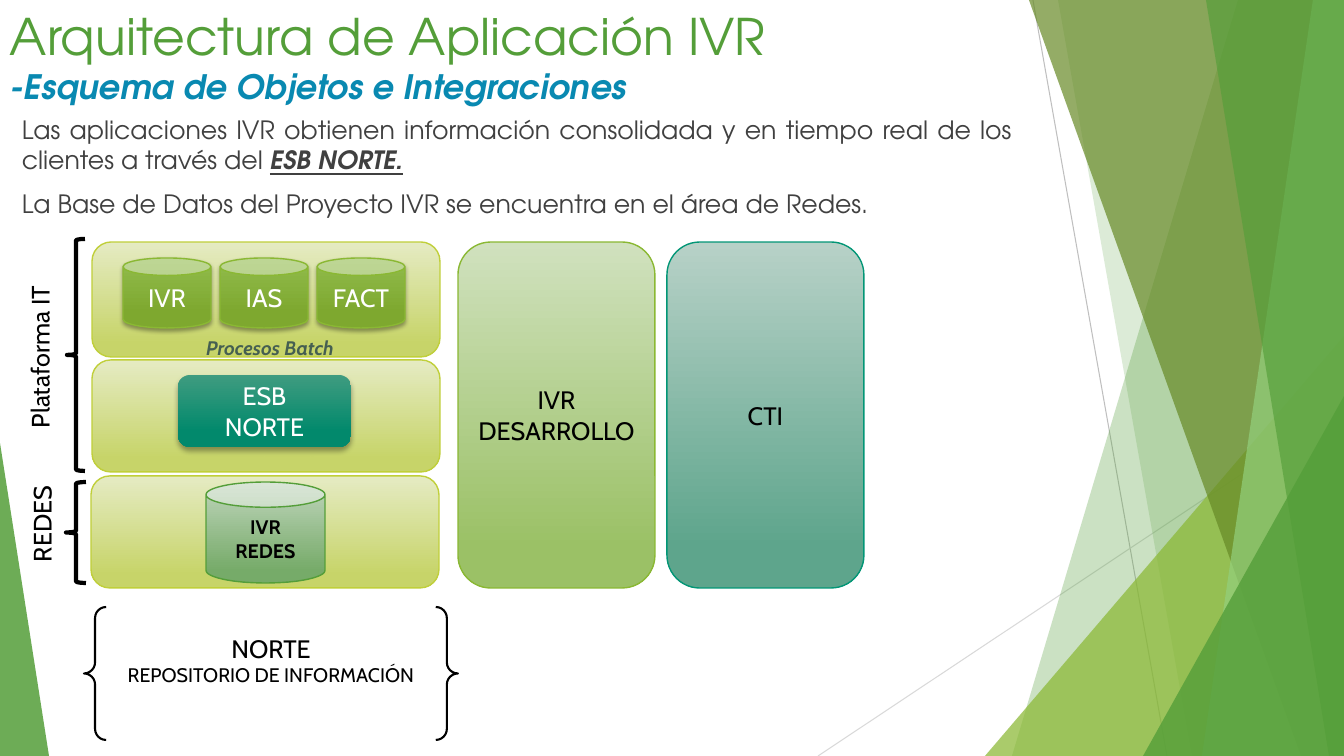
from dataclasses import dataclass

from lxml.etree import SubElement as Sub
from pptx import Presentation as Deck
from pptx.dml.color import RGBColor as RGB
from pptx.enum.shapes import MSO_CONNECTOR as Link, MSO_SHAPE as Kind
from pptx.enum.text import MSO_ANCHOR as Anchor, PP_ALIGN as Align
from pptx.oxml.ns import qn
from pptx.util import Pt


@dataclass(frozen=True)
class Theme:
    head: str = "TeX Gyre Adventor"
    body: str = "Cabin"
    huge: int = 36
    big: int = 24
    mid: int = 18
    small: int = 14
    black: str = "000000"
    white: str = "FFFFFF"
    gray: str = "404040"
    blue: str = "0989B1"
    slate: str = "455F51"
    green: str = "549E39"
    lime: str = "8AB833"
    olive: str = "678A26"
    mint: str = "93D07D"
    teal: str = "029676"
    gold: str = "C0CF3A"
    silver: str = "BFBFBF"
    pale: str = "D9D9D9"
    panel: tuple = ("E5EBC3", "C7D469", 0.88)
    store: tuple = ("91BC4D", "7EA82F", 0.78)
    bus: tuple = ("3F9C80", "02896C", 0.78)
    redes: tuple = ("C0D5BC", "76AB69", 0.88)
    dev: tuple = ("D0E1BE", "9BC166", 0.88)
    cti: tuple = ("B7D1C7", "5EA58C", 0.88)


class Board:
    """Draws styled elements on one slide, with lengths in px."""

    def __init__(self, theme):
        self.theme = theme
        self.deck = Deck()
        self.deck.slide_width, self.deck.slide_height = self.emu(1344, 756)
        self.slide = self.deck.slides.add_slide(self.deck.slide_layouts[6])
        self.shapes = self.slide.shapes

    def emu(self, *px):
        return [round(n * 914400 / 100.8) for n in px]

    def style(self, font, size=None, color=None, bold=None, ital=None, line=None):
        if size:
            font.size = Pt(size)
        if color:
            font.color.rgb = RGB.from_string(color)
        font.bold, font.italic, font.underline = bold, ital, line

    def fill_text(self, frame, paras, size, color, face=None, align=Align.CENTER, gap=0, **look):
        frame.word_wrap = True
        for i, runs in enumerate(paras):
            para = frame.paragraphs[0] if i == 0 else frame.add_paragraph()
            para.alignment = align
            para.space_before = Pt(gap)
            para.font.name = face or self.theme.body
            self.style(para.font, size, color, **look)
            if isinstance(runs, str):
                para.text = runs
                continue
            for text, extra in runs:
                if text == "\n":
                    para.add_line_break()
                    continue
                run = para.add_run()
                run.text = text
                self.style(run.font, **extra)

    def label(self, box, paras, size, color, turn=0, **look):
        item = self.shapes.add_textbox(*self.emu(*box))
        item.rotation = turn
        self.fill_text(item.text_frame, paras, size, color, **look)

    def line(self, start, end, color):
        item = self.shapes.add_connector(Link.STRAIGHT, *self.emu(*start, *end))
        item.line.color.rgb = RGB.from_string(color)
        item.line.width = Pt(0.75)
        Sub(item._element.spPr, qn("a:effectLst"))

    def tint(self, item, color, alpha):
        item.shadow.inherit = False
        item.fill.solid()
        item.fill.fore_color.rgb = RGB.from_string(color)
        item.line.fill.background()
        tone = item._element.spPr.find(qn("a:solidFill"))[0]
        Sub(tone, qn("a:alpha"), val=str(alpha * 1000))

    def facet(self, points, color, alpha):
        start, *rest = [self.emu(*p) for p in points]
        form = self.shapes.build_freeform(*start)
        form.add_line_segments(rest, close=True)
        self.tint(form.convert_to_shape(), color, alpha)

    def wedge(self, box, apex, color, alpha):
        item = self.shapes.add_shape(Kind.ISOSCELES_TRIANGLE, *self.emu(*box))
        item.adjustments[0] = apex
        self.tint(item, color, alpha)

    def brace(self, kind, box, width):
        item = self.shapes.add_shape(kind, *self.emu(*box))
        item.shadow.inherit = False
        item.fill.background()
        item.line.color.rgb = RGB.from_string(self.theme.black)
        item.line.width = Pt(width)

    def block(self, kind, box, grad, edge=None, text="", size=18, color=None, drop=None, **look):
        item = self.shapes.add_shape(kind, *self.emu(*box))
        item.shadow.inherit = False
        item.fill.gradient()
        item.fill.gradient_angle = 270
        first, last, stop = grad
        for mark, tone, place in zip(item.fill.gradient_stops, (first, last), (0, stop)):
            mark.color.rgb = RGB.from_string(tone)
            mark.position = place
        if edge:
            item.line.color.rgb = RGB.from_string(edge)
            item.line.width = Pt(1)
        else:
            item.line.fill.background()
        if drop:
            self.drop(item, *drop)
        if text:
            item.text_frame.vertical_anchor = Anchor.MIDDLE
            self.fill_text(item.text_frame, [text], size, color or self.theme.black, **look)

    def drop(self, item, blur, dist):
        spot = Sub(item._element.spPr.find(qn("a:effectLst")), qn("a:outerShdw"),
                   blurRad=str(Pt(blur)), dist=str(Pt(dist)), dir="5400000", rotWithShape="0")
        tone = Sub(spot, qn("a:srgbClr"), val=self.theme.black)
        Sub(tone, qn("a:alpha"), val="35000")


def backdrop(board, th):
    def band(top, base, color, alpha):
        board.facet([(top, 0), (1344, 0), (1344, 756), (base, 756)], color, alpha)

    board.line((1033, 0), (1167, 756), th.silver)
    board.line((1344, 406), (818, 756), th.pale)
    band(1238, 1012, th.green, 30)
    band(1058, 1192, th.green, 20)
    board.wedge((985, 336, 359, 420), 1, th.lime, 72)
    band(1029, 1301, th.olive, 70)
    band(1313, 1202, th.mint, 70)
    band(1206, 1329, th.green, 65)
    board.wedge((1143, 396, 201, 360), 1, th.green, 80)
    board.wedge((0, 443, 49, 313), 0, th.green, 85)


def diagram(board, th):
    board.label((113, 628, 316, 65), [[("NORTE", {}), ("\n", {}),
                ("REPOSITORIO DE INFORMACIÓN", {"size": th.small})]], th.mid, th.black)
    for x, y, high in ((92, 242, 115), (92, 360, 112), (91, 476, 112)):
        board.block(Kind.ROUNDED_RECTANGLE, (x, y, 348, high), th.panel, th.gold)
    for i, name in enumerate(("IVR", "IAS", "FACT")):
        board.block(Kind.CAN, (123 + 97 * i, 258, 88, 70), th.store, th.lime,
                    name, th.mid, th.white, drop=(3, 2))
    board.block(Kind.FLOWCHART_ALTERNATE_PROCESS, (178, 375, 173, 72), th.bus, None,
                "ESB\nNORTE", th.mid, th.white, drop=(4, 3))
    board.block(Kind.CAN, (206, 482, 119, 101), th.redes, th.green,
                "IVR\nREDES", th.small, bold=True)
    for x, grad, edge, name in ((458, th.dev, th.lime, "IVR DESARROLLO"),
                                (667, th.cti, th.teal, "CTI")):
        board.block(Kind.ROUNDED_RECTANGLE, (x, 242, 197, 346), grad, edge, name, th.mid)
    board.brace(Kind.DOUBLE_BRACE, (84, 607, 374, 133), 1.5)
    board.label((142, 331, 256, 34), ["Procesos Batch"], th.small, th.slate,
                bold=True, ital=True)
    for box, left, top, name in (((67, 239, 18, 232), -76, 337, "Plataforma IT"),
                                 ((66, 482, 20, 101), -74, 504, "REDES")):
        board.brace(Kind.LEFT_BRACE, box, 3)
        board.label((left, top, 231, 40), [name], th.mid, th.black, turn=270)


def words(board, th):
    strong = {"bold": True, "ital": True}
    board.label((0, 0, 948, 145), [[
        ("Arquitectura de Aplicación IVR", {}), ("\n", {}),
        ("-Esquema de Objetos e Integraciones", {"size": th.big, "color": th.blue, **strong}),
    ]], th.huge, th.green, face=th.head, align=Align.LEFT)
    board.label((12, 109, 1010, 231), [
        [("Las aplicaciones IVR obtienen información consolidada y en tiempo real "
          "de los clientes a través del ", {}), ("ESB NORTE.", {"line": True, **strong})],
        "La Base de Datos del Proyecto IVR se encuentra en el área de Redes.",
    ], th.mid, th.gray, face=th.head, align=Align.JUSTIFY, gap=10)


def main():
    theme = Theme()
    board = Board(theme)
    for draw in (backdrop, diagram, words):
        draw(board, theme)
    board.deck.save("out.pptx")


if __name__ == "__main__":
    main()
